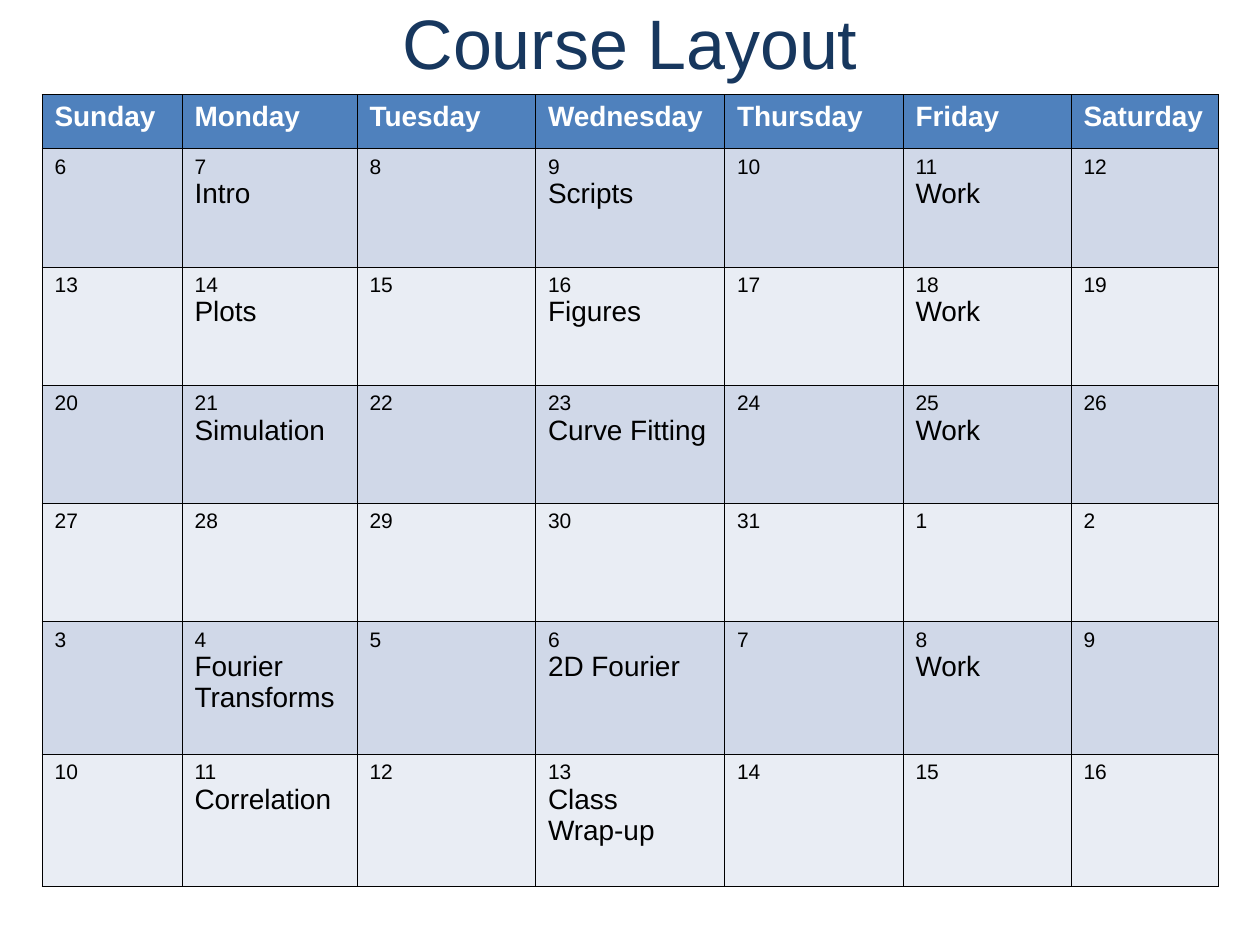
"""Build a one-slide course calendar with a topic table."""
from dataclasses import dataclass
from itertools import chain

from lxml.etree import SubElement
from pptx import Presentation
from pptx.dml.color import RGBColor as Rgb
from pptx.enum.text import MSO_ANCHOR as Anchor, PP_ALIGN as Align
from pptx.oxml.ns import qn
from pptx.util import Pt


@dataclass(frozen=True)
class Theme:
    font: str = "Arial"
    title_color: str = "17375E"
    header_fill: str = "4F81BD"
    header_text: str = "FFFFFF"
    week_fills: tuple = ("D0D8E8", "E9EDF4")
    body_text: str = "000000"
    border: str = "000000"
    border_width: float = 0.45
    title_size: int = 40
    topic_size: int = 16
    date_size: int = 12


THEME = Theme()
WEEKDAYS = ["Sunday", "Monday", "Tuesday", "Wednesday", "Thursday", "Friday", "Saturday"]
DAY_WIDTHS = [80, 100, 102, 108, 102, 96, 84]
HEADER_HEIGHT = 31
WEEK_HEIGHTS = [67.6] * 4 + [75.6] * 2
DATES = list(chain(range(6, 32), range(1, 17)))
TOPICS = [
    {"Monday": ["Intro"], "Wednesday": ["Scripts"], "Friday": ["Work"]},
    {"Monday": ["Plots"], "Wednesday": ["Figures"], "Friday": ["Work"]},
    {"Monday": ["Simulation"], "Wednesday": ["Curve Fitting"], "Friday": ["Work"]},
    {},
    {"Monday": ["Fourier Transforms"], "Wednesday": ["2D Fourier"], "Friday": ["Work"]},
    {"Monday": ["Correlation"], "Wednesday": ["Class", "Wrap-up"]},
]


def write(paragraph, text, *, size, color, bold=False, align=Align.LEFT):
    """Put formatted text into a paragraph."""
    paragraph.alignment = align
    run = paragraph.add_run()
    run.text = text
    run.font.name = THEME.font
    run.font.size = Pt(size)
    run.font.bold = bold
    run.font.color.rgb = Rgb.from_string(color)


def add_title(slide, text):
    """Add the centred heading across the slide."""
    heading = slide.shapes.add_textbox(Pt(0), Pt(0), Pt(720), Pt(48))
    frame = heading.text_frame
    frame.word_wrap = True
    frame.vertical_anchor = Anchor.MIDDLE
    frame.margin_top = frame.margin_bottom = Pt(0)
    write(frame.paragraphs[0], text, size=THEME.title_size,
          color=THEME.title_color, align=Align.CENTER)


def style_cell(cell, fill):
    """Give a cell its borders, fill and margins."""
    properties = cell._tc.get_or_add_tcPr()
    for side in ("a:lnL", "a:lnR", "a:lnT", "a:lnB"):
        edge = SubElement(properties, qn(side), w=str(Pt(THEME.border_width)))
        SubElement(SubElement(edge, qn("a:solidFill")), qn("a:srgbClr"), val=THEME.border)
    cell.fill.solid()
    cell.fill.fore_color.rgb = Rgb.from_string(fill)
    cell.margin_left = cell.margin_right = Pt(7.2)
    cell.margin_top = cell.margin_bottom = Pt(3.6)


def fill_day(cell, date, topics, fill):
    """Write a date and its topics into a day cell."""
    style_cell(cell, fill)
    frame = cell.text_frame
    write(frame.paragraphs[0], str(date), size=THEME.date_size, color=THEME.body_text)
    for topic in topics:
        write(frame.add_paragraph(), topic, size=THEME.topic_size, color=THEME.body_text)


def add_calendar(slide):
    """Add the calendar table with a header and one row per week."""
    heights = [HEADER_HEIGHT, *WEEK_HEIGHTS]
    calendar = slide.shapes.add_table(
        len(heights), len(WEEKDAYS), Pt(24), Pt(54),
        Pt(sum(DAY_WIDTHS)), Pt(sum(heights))).table
    calendar.horz_banding = False
    for column, width in zip(calendar.columns, DAY_WIDTHS):
        column.width = Pt(width)
    for row, height in zip(calendar.rows, heights):
        row.height = Pt(height)
    for day, weekday in enumerate(WEEKDAYS):
        header = calendar.cell(0, day)
        style_cell(header, THEME.header_fill)
        write(header.text_frame.paragraphs[0], weekday, size=THEME.topic_size,
              color=THEME.header_text, bold=True)
        for week, topics in enumerate(TOPICS):
            fill_day(calendar.cell(week + 1, day), DATES[week * len(WEEKDAYS) + day],
                     topics.get(weekday, []), THEME.week_fills[week % 2])


def main():
    """Create the slide and save it."""
    deck = Presentation()
    deck.slide_width, deck.slide_height = Pt(720), Pt(540)
    slide = deck.slides.add_slide(deck.slide_layouts[6])
    add_title(slide, "Course Layout")
    add_calendar(slide)
    deck.save("out.pptx")


if __name__ == "__main__":
    main()
